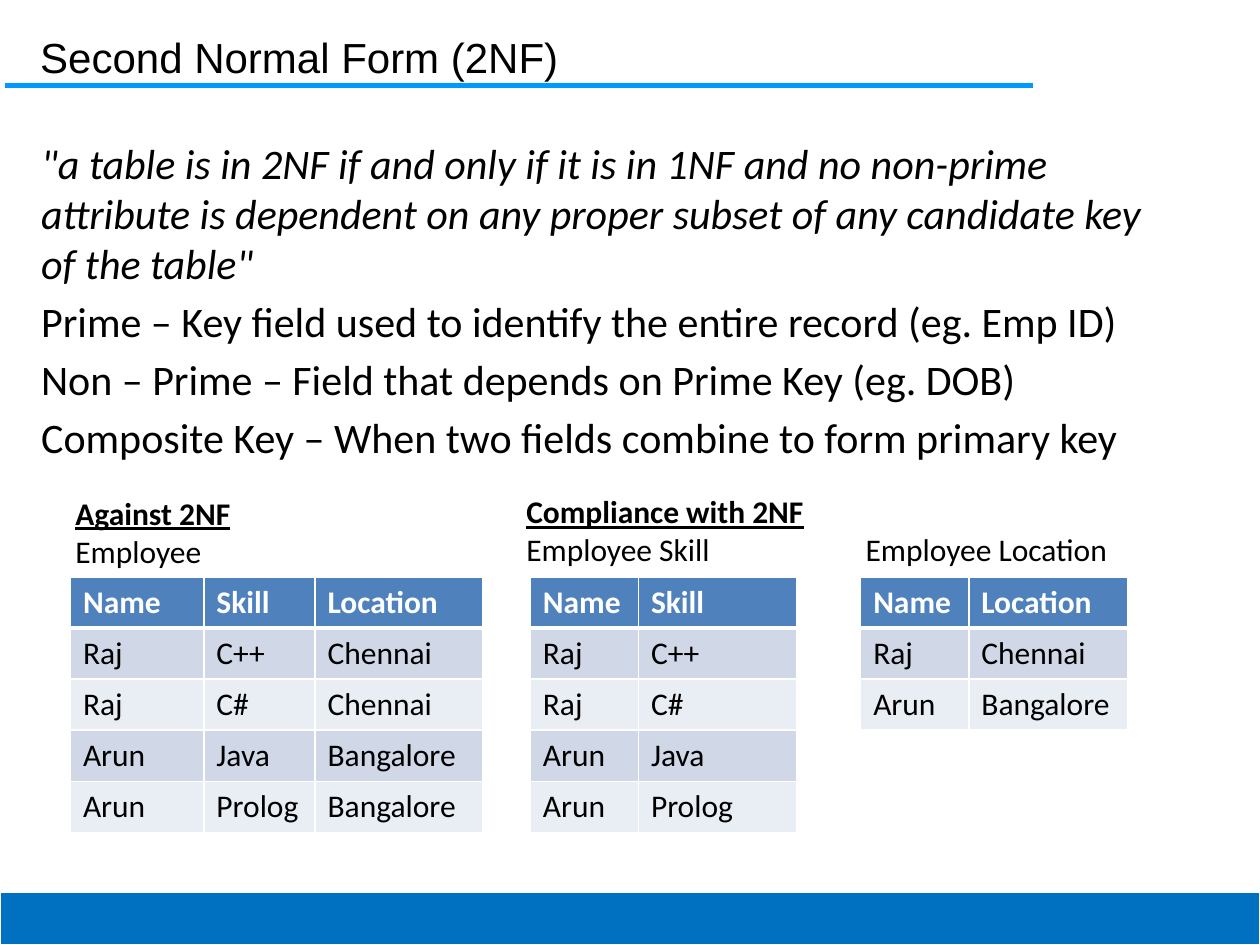
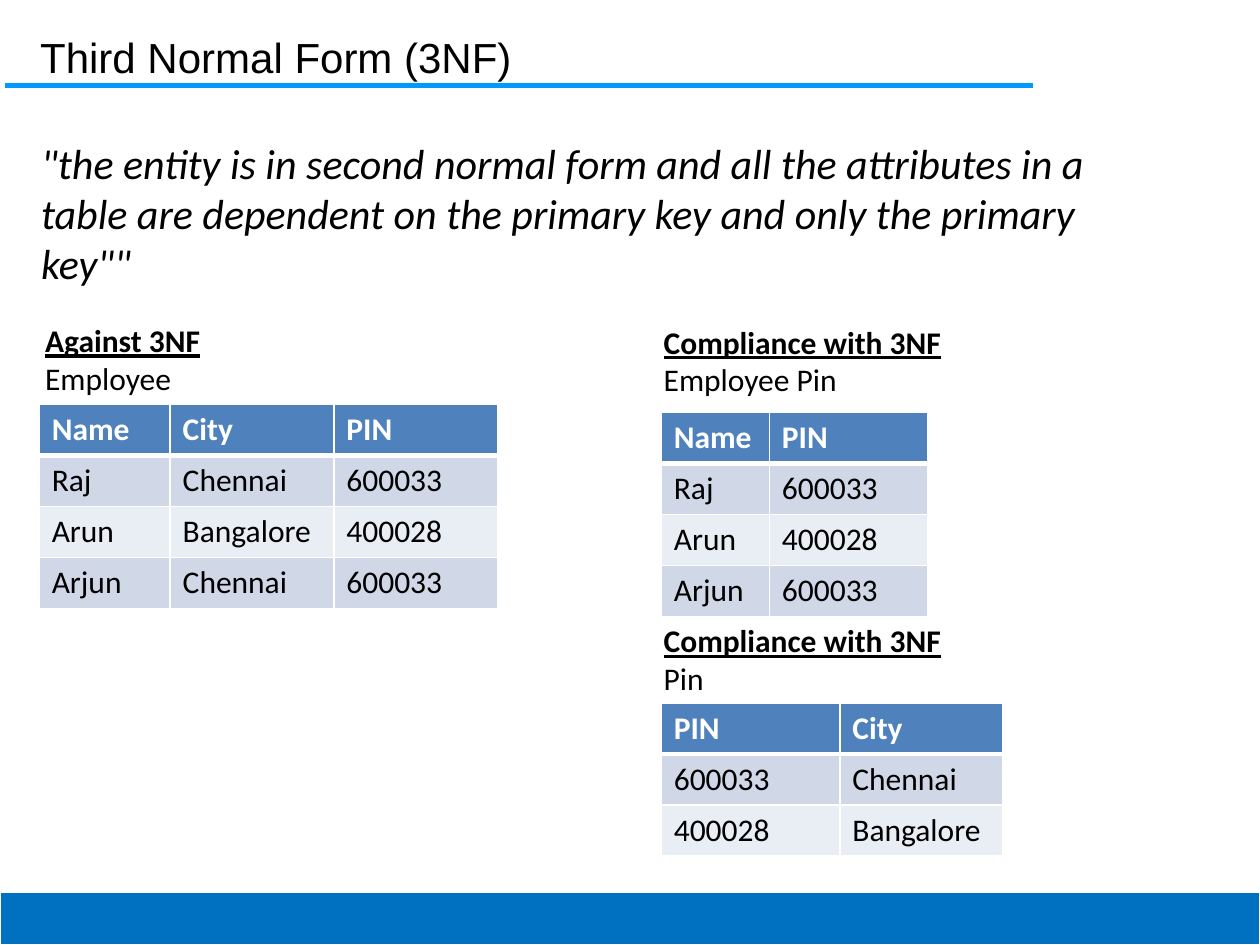
from lxml import etree
from pptx import Presentation
from pptx import util as u
from pptx.dml.color import RGBColor
from pptx.enum import shapes, text
from pptx.oxml import ns

Cm, Pt = u.Cm, u.Pt
COLOURS = {
    "ink": "000000", "paper": "FFFFFF", "rule": "0099FF", "footer": "0070C0",
    "header": "4F81BD", "odd": "D0D8E8", "even": "E9EDF4",
}
ROW_HEIGHT = 1.03
MARGIN = 0.58


def rgb(name):
    return RGBColor.from_string(COLOURS[name])


def write(paragraph, content, font="Calibri", size=18, colour="ink",
          bold=False, italic=False, underline=False):
    run = paragraph.add_run()
    run.text = content
    run.font.name, run.font.size = font, Pt(size)
    run.font.color.rgb = rgb(colour)
    run.font.bold, run.font.italic, run.font.underline = bold, italic, underline


def border(cell, side, width):
    """Draw a white border of the given point width on side L, R, T or B."""
    line = etree.SubElement(cell._tc.get_or_add_tcPr(), ns.qn(f"a:ln{side}"), w=str(Pt(width)))
    fill = etree.SubElement(line, ns.qn("a:solidFill"))
    etree.SubElement(fill, ns.qn("a:srgbClr"), val=COLOURS["paper"])


class Deck:
    def __init__(self):
        self.prs = Presentation()
        self.prs.slide_width, self.prs.slide_height = Cm(25.4), Cm(19.05)
        self.slide = None

    def start(self, title):
        """Add a slide with its title, rule and footer band."""
        self.slide = self.prs.slides.add_slide(self.prs.slide_layouts[5])
        self.rule()
        self.title(title)
        self.footer()

    def rule(self):
        line = self.slide.shapes.add_connector(
            shapes.MSO_CONNECTOR.STRAIGHT, Cm(0.1), Cm(1.73), Cm(20.83), Cm(1.73))
        line.line.color.rgb, line.line.width = rgb("rule"), Pt(2.89)
        etree.SubElement(line._element.spPr, ns.qn("a:effectLst"))

    def title(self, content):
        heading = self.slide.shapes.title
        heading.left, heading.top = Cm(MARGIN), Cm(0.43)
        heading.width, heading.height = Cm(20.24), Cm(1.02)
        frame = heading.text_frame
        frame.auto_size = text.MSO_AUTO_SIZE.NONE
        frame.vertical_anchor = text.MSO_ANCHOR.TOP
        frame.margin_left = frame.margin_right = Cm(0.23)
        frame.margin_top, frame.margin_bottom = Cm(0.2), Cm(0)
        paragraph = frame.paragraphs[0]
        paragraph.alignment = text.PP_ALIGN.LEFT
        write(paragraph, content, font="Arial", size=24)

    def footer(self):
        band = self.slide.shapes.add_shape(
            shapes.MSO_SHAPE.RECTANGLE, Cm(0), Cm(17.98), Cm(25.4), Cm(1.07))
        band.shadow.inherit = False
        band.fill.solid()
        band.fill.fore_color.rgb = rgb("footer")
        band.line.color.rgb, band.line.width = rgb("paper"), Pt(0.75)

    def text_box(self, left, top, width, height):
        frame = self.slide.shapes.add_textbox(
            Cm(left), Cm(top), Cm(width), Cm(height)).text_frame
        frame.word_wrap = True
        return frame

    def definitions(self, height, quote, *terms):
        frame = self.text_box(MARGIN, 2.64, 23.29, height)
        write(frame.paragraphs[0], quote, size=24, italic=True)
        for term in terms:
            paragraph = frame.add_paragraph()
            paragraph.space_before = Pt(4.2)
            write(paragraph, term, size=24)

    def caption(self, left, top, width, verdict, tables, tab=None):
        """Add an underlined verdict above table names, parted by a tab stop if given."""
        frame = self.text_box(left, top, width, 1.8)
        write(frame.paragraphs[0], verdict, bold=True, underline=True)
        names = frame.add_paragraph()
        if tab:
            stops = etree.SubElement(names._p.get_or_add_pPr(), ns.qn("a:tabLst"))
            etree.SubElement(stops, ns.qn("a:tab"), pos=str(Cm(tab)), algn="l")
        write(names, tables)

    def table(self, left, top, widths, *rows):
        grid = self.slide.shapes.add_table(
            len(rows), len(widths), Cm(left), Cm(top),
            Cm(sum(widths)), Cm(ROW_HEIGHT * len(rows))).table
        for column, width in zip(grid.columns, widths):
            column.width = Cm(width)
        for r, row in enumerate(rows):
            grid.rows[r].height = Cm(ROW_HEIGHT)
            band = "header" if r == 0 else "odd" if r % 2 else "even"
            edges = {"L": 1, "R": 1, "T": 3 if r == 1 else 1, "B": 3 if r == 0 else 1}
            for c, value in enumerate(row):
                cell = grid.cell(r, c)
                for side, width in edges.items():
                    border(cell, side, width)
                cell.fill.solid()
                cell.fill.fore_color.rgb = rgb(band)
                write(cell.text_frame.paragraphs[0], value, bold=r == 0,
                      colour="ink" if r else "paper")


def second_normal_form(deck):
    deck.start("Second Normal Form (2NF)")
    deck.definitions(
        8.1,
        '"a table is in 2NF if and only if it is in 1NF and no non-prime attribute '
        'is dependent on any proper subset of any candidate key of the table"',
        "Prime – Key field used to identify the entire record (eg. Emp ID)",
        "Non – Prime – Field that depends on Prime Key (eg. DOB)",
        "Composite Key – When two fields combine to form primary key")
    employees = [("Raj", "C++", "Chennai"), ("Raj", "C#", "Chennai"),
                 ("Arun", "Java", "Bangalore"), ("Arun", "Prolog", "Bangalore")]
    table_top, pair = 11.63, (2.18, 3.2)
    deck.caption(1.27, 9.83, 5.51, "Against 2NF", "Employee")
    deck.table(1.42, table_top, (2.69, 2.24, 3.38), ("Name", "Skill", "Location"), *employees)
    deck.caption(10.36, 9.8, 13.49, "Compliance with 2NF",
                 "Employee Skill\tEmployee Location", tab=6.84)
    deck.table(10.69, table_top, pair, ("Name", "Skill"), *[e[:2] for e in employees])
    deck.table(17.35, table_top, pair, ("Name", "Location"), *[e[::2] for e in employees[::2]])


def third_normal_form(deck):
    deck.start("Third Normal Form (3NF)")
    deck.definitions(
        3.71,
        '"the entity is in second normal form and all the attributes in a table '
        'are dependent on the primary key and only the primary key""')
    employees = [("Raj", "Chennai", "600033"), ("Arun", "Bangalore", "400028"),
                 ("Arjun", "Chennai", "600033")]
    compliance, caption_left, table_left = "Compliance with 3NF", 13.13, 13.33
    deck.caption(0.66, 6.35, 5.51, "Against 3NF", "Employee")
    deck.table(0.79, 8.15, (2.64, 3.3, 3.3), ("Name", "City", "PIN"), *employees)
    deck.caption(caption_left, 6.38, 8.46, compliance, "Employee Pin")
    deck.table(table_left, 8.31, (2.18, 3.2), ("Name", "PIN"), *[e[::2] for e in employees])
    deck.table(table_left, 14.17, (3.6, 3.28), ("PIN", "City"),
               *[e[:0:-1] for e in employees[:2]])
    deck.caption(caption_left, 12.4, 8.46, compliance, "Pin")


def main():
    deck = Deck()
    second_normal_form(deck)
    third_normal_form(deck)
    deck.prs.save("out.pptx")


if __name__ == "__main__":
    main()
